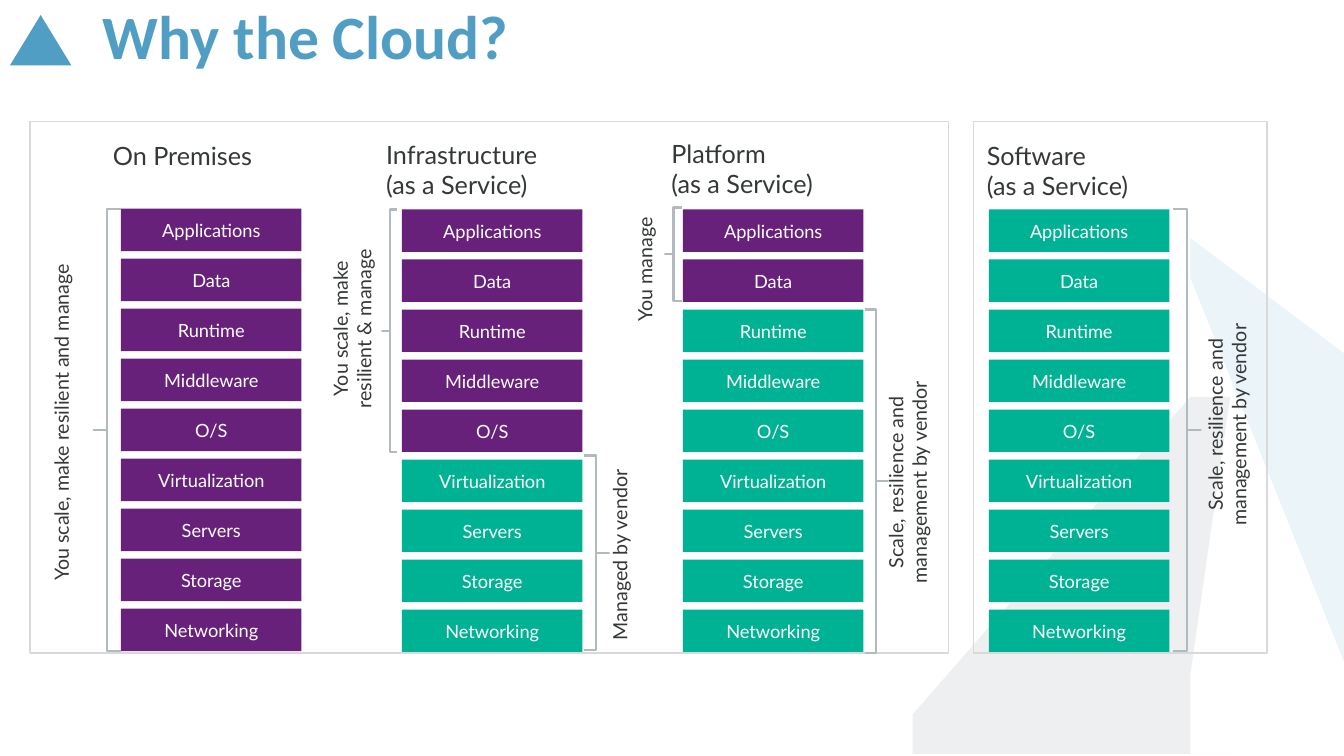
from lxml import etree
from pptx import Presentation
from pptx.dml.color import RGBColor
from pptx.enum.shapes import MSO_SHAPE
from pptx.enum.text import MSO_ANCHOR, MSO_AUTO_SIZE, PP_ALIGN
from pptx.oxml.ns import qn
from pptx.util import Cm, Pt

RECT, MARK = MSO_SHAPE.RECTANGLE, MSO_SHAPE.ISOSCELES_TRIANGLE
BRACE = {"left": MSO_SHAPE.LEFT_BRACE, "right": MSO_SHAPE.RIGHT_BRACE}
LEFT, MID = PP_ALIGN.LEFT, PP_ALIGN.CENTER
BLUE = RGBColor(0x50, 0x9E, 0xC3)
SLATE = RGBColor(0x66, 0x74, 0x7C)
PURPLE = RGBColor(0x68, 0x21, 0x7A)
GREEN = RGBColor(0x00, 0xB2, 0x94)
INK = RGBColor(0x35, 0x38, 0x39)
EDGE = RGBColor(0xD9, 0xD9, 0xD9)
STEEL = RGBColor(0xB1, 0xBA, 0xBF)
WHITE = RGBColor(0xFF, 0xFF, 0xFF)

# Content; all lengths in cm
TITLE = "Why the Cloud?"
LAYERS = ["Applications", "Data", "Runtime", "Middleware", "O/S",
          "Virtualization", "Servers", "Storage", "Networking"]
VENDOR = "Scale, resilience and\vmanagement by vendor"

# bar left, bar top, layers you manage
STACKS = [(3.05, 5.26, 9), (10.13, 5.28, 5), (17.21, 5.28, 2), (24.92, 5.28, 0)]

# text, box, alignment
HEADS = [
    ("On Premises", (2.01, 3.53, 5.18, 1.78), MID),
    ("Infrastructure\n(as a Service)", (9.73, 3.51, 7.21, 1.78), LEFT),
    ("Platform\n(as a Service)", (16.92, 3.48, 7.16, 1.78), LEFT),
    ("Software\n(as a Service)", (24.87, 3.53, 6.76, 1.78), LEFT),
]

# side, brace box, note, note box
SPANS = [
    ("left", (2.36, 5.26, 0.69, 11.15),
     "You scale, make resilient and manage", (1.12, 6.43, 1.12, 8.43)),
    ("left", (9.63, 5.28, 0.38, 6.12),
     "You scale, make\nresilient & manage", (8.15, 6.07, 1.7, 4.42)),
    ("right", (14.71, 11.48, 0.64, 4.9),
     "Managed by vendor", (15.19, 11.63, 1.12, 4.7)),
    ("left", (16.76, 5.23, 0.43, 2.36),
     "You manage", (15.82, 5.31, 1.12, 2.97)),
    ("right", (21.79, 7.8, 0.58, 8.66), VENDOR, (22.15, 9.4, 1.7, 5.51)),
    ("right", (29.57, 5.26, 0.69, 11.15), VENDOR, (30.2, 7.95, 1.7, 5.51)),
]
PANELS = [(0.76, 3.07, 23.14, 13.39), (24.54, 3.07, 7.39, 13.39)]

# colour, start, then lines (one point) and curves (three points)
DECOR = [
    (BLUE, (30.15, 6.32), [
        [(30.2, 6.32), (30.25, 6.35), (30.33, 6.4)],
        [(33.87, 8.74)], [(33.87, 16.94)], [(33.73, 16.74)], [(29.92, 6.68)],
        [(29.85, 6.5), (29.97, 6.32), (30.15, 6.32)]]),
    (SLATE, (30.48, 10.08), [
        [(30.58, 10.08), (30.63, 10.16), (30.61, 10.34)],
        [(29.62, 16.89)],
        [(29.51, 17.65), (29.57, 18.03), (30.02, 18.54)],
        [(30.51, 19.05)], [(24.18, 19.05)], [(22.89, 18.54)],
        [(22.56, 18.39), (22.48, 17.93), (22.76, 17.65)],
        [(30.2, 10.21)],
        [(30.28, 10.13), (30.4, 10.06), (30.48, 10.08)]]),
]

# Formats and sizes
HEAD = {"name": "Lato", "size": Pt(18)}
NOTE = {"name": "Lato", "size": Pt(14)}
LABEL = {"name": "Lato", "size": Pt(13)}
TOP = {"name": "Calibri", "size": Pt(44), "bold": True}
BAR_W, BAR_H, PITCH = 4.55, 1.07, 1.26
STEPS = 12

deck = Presentation()
deck.slide_width, deck.slide_height = Cm(33.87), Cm(19.05)
slide = deck.slides.add_slide(deck.slide_layouts[5])
shapes = slide.shapes


def write(frame, text, form, color, align):
    frame.text = text
    for para in frame.paragraphs:
        para.alignment = align
        for key, value in form.items():
            setattr(para.font, key, value)
        para.font.color.rgb = color


def draw(kind, box, fill=None, line=None, width=1):
    shape = shapes.add_shape(kind, *map(Cm, box))
    shape.shadow.inherit = False
    if fill is None:
        shape.fill.background()
    else:
        shape.fill.solid()
        shape.fill.fore_color.rgb = fill
    if line is None:
        shape.line.fill.background()
    else:
        shape.line.color.rgb = line
        shape.line.width = Pt(width)
    return shape


def trace(start, parts):
    points, last = [], start
    for part in parts:
        if len(part) == 1:
            points += part
        else:
            for step in range(1, STEPS + 1):
                t = step / STEPS
                u = 1 - t
                points.append(tuple(
                    u**3 * a + 3 * u * u * t * b + 3 * u * t * t * c + t**3 * d
                    for a, b, c, d in zip(last, *part)))
        last = part[-1]
    return points


# Pale backdrop
for color, start, parts in DECOR:
    pen = shapes.build_freeform(*start, scale=Cm(1))
    pen.add_line_segments(trace(start, parts), close=True)
    shape = pen.convert_to_shape()
    shape.shadow.inherit = False
    shape.line.fill.background()
    shape.fill.solid()
    shape.fill.fore_color.rgb = color
    tint = shape.fill._xPr.find(".//" + qn("a:srgbClr"))
    etree.SubElement(tint, qn("a:alpha")).set("val", "11000")

# Title and corner mark
draw(MARK, (0.25, 0.38, 1.55, 1.27), BLUE)
title = shapes.title
title.left, title.top, title.width, title.height = map(Cm, (2.34, 0, 28.78, 2.01))
write(title.text_frame, TITLE, TOP, BLUE, LEFT)
title.text_frame.vertical_anchor = MSO_ANCHOR.MIDDLE
title.text_frame.paragraphs[0].line_spacing = 0.9

# Panels
for box in PANELS:
    draw(RECT, box, line=EDGE)

# Headings
for text, box, align in HEADS:
    frame = shapes.add_textbox(*map(Cm, box)).text_frame
    frame.word_wrap = True
    for side in ("left", "right", "top", "bottom"):
        setattr(frame, "margin_" + side, 0)
    write(frame, text, HEAD, INK, align)

# Layer stacks
for left, top, own in STACKS:
    for row, layer in enumerate(LAYERS):
        bar = draw(RECT, (left, top + row * PITCH, BAR_W, BAR_H),
                   PURPLE if row < own else GREEN)
        bar.text_frame.vertical_anchor = MSO_ANCHOR.MIDDLE
        write(bar.text_frame, layer, LABEL, WHITE, MID)

# Braces with upright notes
for side, box, text, place in SPANS:
    brace = draw(BRACE[side], box, line=STEEL, width=1.5)
    brace.adjustments[0], brace.adjustments[1] = 0, 0.5
    frame = shapes.add_textbox(*map(Cm, place)).text_frame
    frame.word_wrap = False
    frame.auto_size = MSO_AUTO_SIZE.SHAPE_TO_FIT_TEXT
    frame._txBody.bodyPr.set("vert", "vert270")
    write(frame, text, NOTE, INK, MID)

deck.save("out.pptx")
